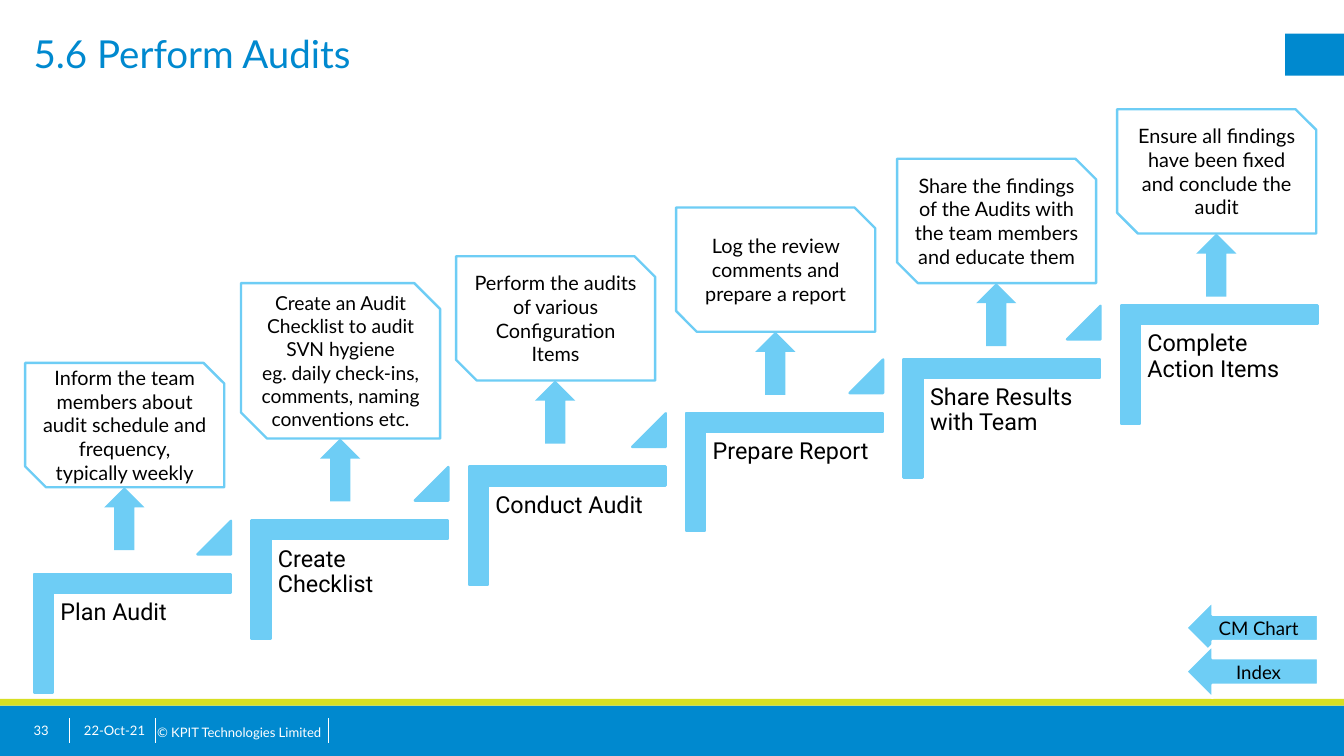
from typing import NamedTuple, Optional

from lxml import etree
from pptx import Presentation
from pptx import util as u
from pptx.dml.color import RGBColor
from pptx.enum import shapes, text
from pptx.oxml import ns

# The slide is a grid of square cells: 160 columns by 90 rows.
COLUMNS, ROWS = 160, 90
CELL = u.Inches(0.1)

BLUE, SKY, LIME = "0089CF", "6ECDF5", "D7DF23"
WHITE, BLACK = "FFFFFF", "000000"
KIND = shapes.MSO_SHAPE
CENTER, MIDDLE = text.PP_ALIGN.CENTER, text.MSO_ANCHOR.MIDDLE


class Box(NamedTuple):
    left: float
    top: float
    width: float
    height: float

    def lengths(self) -> list:
        return [cells(value) for value in self]


class Style(NamedTuple):
    size: float
    color: str = BLACK
    font: str = "Lato"
    align: Optional[text.PP_ALIGN] = None
    anchor: text.MSO_ANCHOR = text.MSO_ANCHOR.TOP
    insets: tuple = (0, 0)
    line_spacing: Optional[float] = None


class Step(NamedTuple):
    name: str
    note: str
    note_left: float
    note_top: float
    note_height: float = 14.8
    note_size: float = 17


STEPS = [
    Step("Plan Audit",
         "Inform the team members about audit schedule and frequency, typically weekly",
         3, 43.2),
    Step("Create Checklist",
         "Create an Audit Checklist to audit SVN hygiene\n"
         "eg. daily check-ins, comments, naming conventions etc.",
         28.7, 33.7, 18.5, 16.5),
    Step("Conduct Audit", "Perform the audits of various Configuration Items", 54.3, 30.5),
    Step("Prepare Report", "Log the review comments and prepare a report", 80.5, 24.7),
    Step("Share Results with Team",
         "Share the findings of the Audits with the team members and educate them",
         106.8, 18.9),
    Step("Complete Action Items",
         "Ensure all findings have been fixed and conclude the audit", 133, 13),
]
STEP_RUN, STEP_RISE = 25.88, 6.4

TITLE = Style(33, BLUE)
FOOTER = Style(11.2, WHITE, anchor=MIDDLE)
STEP_NAME = Style(20, font="Roboto", insets=(0.8, 0.8), line_spacing=0.9)
BUTTON = Style(16, align=CENTER, anchor=MIDDLE, insets=(1, 0.5))


def cells(count: float) -> u.Emu:
    return u.Emu(round(count * CELL))


def rgb(color: str) -> RGBColor:
    return RGBColor.from_string(color)


def write(shape, words: str, style: Style) -> None:
    frame = shape.text_frame
    frame.text = words
    frame.word_wrap = True
    frame.vertical_anchor = style.anchor
    frame.margin_left = frame.margin_right = cells(style.insets[0])
    frame.margin_top = frame.margin_bottom = cells(style.insets[1])
    for paragraph in frame.paragraphs:
        paragraph.alignment = style.align
        paragraph.line_spacing = style.line_spacing
        for run in paragraph.runs:
            run.font.name = style.font
            run.font.size = u.Pt(style.size)
            run.font.color.rgb = rgb(style.color)


def add_text(slide, box: Box, words: str, style: Style) -> None:
    write(slide.shapes.add_textbox(*box.lengths()), words, style)


def add_shape(slide, kind: shapes.MSO_SHAPE, box: Box, fill: str,
              line: Optional[str] = None):
    shape = slide.shapes.add_shape(kind, *box.lengths())
    shape.shadow.inherit = False
    shape.fill.solid()
    shape.fill.fore_color.rgb = rgb(fill)
    if line:
        shape.line.color.rgb = rgb(line)
        shape.line.width = u.Pt(2)
    else:
        shape.line.fill.background()
    return shape


def add_divider(slide, column: float) -> None:
    x = cells(column)
    divider = slide.shapes.add_connector(
        shapes.MSO_CONNECTOR.STRAIGHT, x, cells(85.5), x, cells(88.5))
    divider.line.color.rgb = rgb(WHITE)
    divider.line.width = u.Pt(1)
    etree.SubElement(divider._element.spPr, ns.qn("a:effectLst"))


def add_frame(slide) -> None:
    """Draw the title, the corner block and the footer."""
    add_shape(slide, KIND.RECTANGLE, Box(153, 4, 7, 5), BLUE)
    add_shape(slide, KIND.RECTANGLE, Box(0, 84, COLUMNS, 6), BLUE)
    add_shape(slide, KIND.RECTANGLE, Box(0, 83.2, COLUMNS, 0.8), LIME)
    for column in (8.3, 18.5, 39.1):
        add_divider(slide, column)
    add_text(slide, Box(4, 3.6, 145, 8), "5.6 Perform Audits", TITLE)
    add_text(slide, Box(4, 85.5, 4, 3), "33", FOOTER)
    add_text(slide, Box(10, 85.5, 8, 3), "22-Oct-21", FOOTER)
    add_text(slide, Box(18.7, 85.5, 20.7, 3.4), "© KPIT Technologies Limited", FOOTER)


def add_stair(slide, index: int, step: Step) -> None:
    left, top = 8.7 + index * STEP_RUN, 63.7 - index * STEP_RISE
    corner = add_shape(slide, KIND.CORNER, Box(left, top, 14.1, 23.4), SKY, SKY)
    corner.rotation = 90
    corner.adjustments[0] = corner.adjustments[1] = 0.16
    add_text(slide, Box(left - 2.3, top + 7, 21.1, 18.5), step.name, STEP_NAME)
    if index < len(STEPS) - 1:
        riser = add_shape(slide, KIND.ISOSCELES_TRIANGLE,
                          Box(left + 14.8, top - 1.7, 4, 4), SKY, SKY)
        riser.adjustments[0] = 1


def add_note(slide, step: Step) -> None:
    """Draw a step's note with the arrow that points up to it."""
    bottom = step.note_top + step.note_height
    add_shape(slide, KIND.UP_ARROW, Box(step.note_left + 9.4, bottom, 4.8, 7.5), SKY)
    note = add_shape(slide, KIND.SNIP_2_DIAG_RECTANGLE,
                     Box(step.note_left, step.note_top, 23.7, step.note_height), WHITE, SKY)
    write(note, step.note,
          Style(step.note_size, align=CENTER, anchor=MIDDLE, insets=(0.6, 0.3)))


def main() -> None:
    presentation = Presentation()
    presentation.slide_width, presentation.slide_height = cells(COLUMNS), cells(ROWS)
    slide = presentation.slides.add_slide(presentation.slide_layouts[6])
    add_frame(slide)
    for index, step in enumerate(STEPS):
        add_stair(slide, index, step)
    for step in reversed(STEPS):
        add_note(slide, step)
    for row, label in enumerate(("CM Chart", "Index")):
        button = add_shape(slide, KIND.LEFT_ARROW,
                           Box(141.2, 71.6 + row * 5.2, 15.7, 6.3), SKY, WHITE)
        write(button, label, BUTTON)
    presentation.save("out.pptx")


if __name__ == "__main__":
    main()
